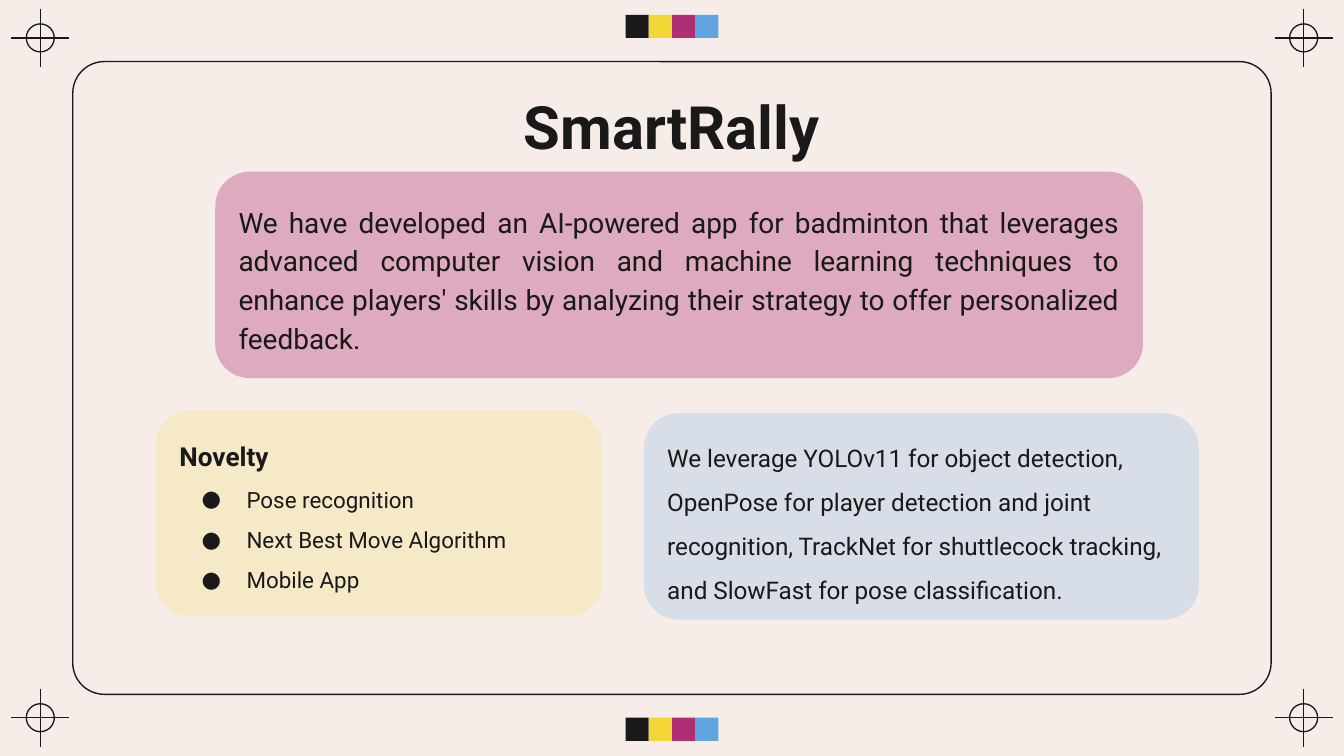
from lxml import etree
from pptx import Presentation
from pptx.dml.color import RGBColor
from pptx.enum import shapes, text
from pptx.oxml import ns
from pptx.util import Pt

INK = RGBColor(0x19, 0x19, 0x19)
YELLOW = RGBColor(0xF3, 0xD7, 0x37)
MAGENTA = RGBColor(0xAF, 0x2E, 0x74)
BLUE = RGBColor(0x60, 0xA4, 0xE0)
PAPER = RGBColor(0xF6, 0xED, 0xE9)

SHAPE = shapes.MSO_SHAPE
ALIGN = text.PP_ALIGN
ANCHOR = text.MSO_ANCHOR

prs = Presentation()
prs.slide_width, prs.slide_height = Pt(720), Pt(405)
s = prs.slides.add_slide(prs.slide_layouts[6])
s.background.fill.solid()
s.background.fill.fore_color.rgb = PAPER


def add_shape(kind, x, y, w, h, fill=None, line=None):
    sp = s.shapes.add_shape(kind, Pt(x), Pt(y), Pt(w), Pt(h))
    sp.shadow.inherit = False
    if fill is None:
        sp.fill.background()
    else:
        sp.fill.solid()
        sp.fill.fore_color.rgb = fill
    if line is None:
        sp.line.fill.background()
    else:
        sp.line.color.rgb = INK
        sp.line.width = Pt(line)
    return sp


def add_text(p, words, size, bold=False, align=ALIGN.LEFT, spacing=1.0):
    p.alignment = align
    p.line_spacing = spacing
    r = p.add_run()
    r.text = words
    r.font.name = "Roboto"
    r.font.size = Pt(size)
    r.font.bold = bold
    r.font.color.rgb = INK


# Frame
frame = add_shape(SHAPE.ROUNDED_RECTANGLE, 39, 33, 642, 339, line=0.75)
frame.adjustments[0] = 0.05

# Registration marks in the corners
RADIUS, ARM = 7.5, 15.6
for cy in (20.3, 384.5):
    for cx in (21.6, 698.4):
        add_shape(SHAPE.OVAL, cx - RADIUS, cy - RADIUS, 2 * RADIUS, 2 * RADIUS, line=0.71)
        for dx, dy in ((0, ARM), (ARM, 0)):
            c = s.shapes.add_connector(shapes.MSO_CONNECTOR.STRAIGHT, Pt(cx - dx), Pt(cy - dy),
                                       Pt(cx + dx), Pt(cy + dy))
            c.line.color.rgb = INK
            c.line.width = Pt(0.71)
            etree.SubElement(c._element.spPr, ns.qn("a:effectLst"))

# Colour bars at top and bottom
SWATCH = 12.45
for y in (7.9, 384.5):
    for i, color in enumerate((INK, YELLOW, MAGENTA, BLUE)):
        add_shape(SHAPE.RECTANGLE, 360 + (i - 2) * SWATCH, y, SWATCH, SWATCH, color)

# Title
tf = s.shapes.add_textbox(Pt(57), Pt(41), Pt(606), Pt(45)).text_frame
tf.word_wrap = True
tf.margin_left = tf.margin_right = tf.margin_top = tf.margin_bottom = Pt(7.2)
add_text(tf.paragraphs[0], "SmartRally", 32, True, ALIGN.CENTER)

# Cards with a translucent fill
cards = []
for x, y, w, color, opacity, anchor in (
    (115.3, 92, 497, MAGENTA, 35, ANCHOR.BOTTOM),
    (83.6, 219.8, 239, YELLOW, 18, ANCHOR.BOTTOM),
    (345, 221.4, 297.3, BLUE, 20, ANCHOR.MIDDLE),
):
    sp = add_shape(SHAPE.ROUNDED_RECTANGLE, x, y, w, 110.6, color)
    sp.adjustments[0] = 0.167
    clr = sp._element.spPr.find(".//" + ns.qn("a:srgbClr"))
    etree.SubElement(clr, ns.qn("a:alpha"), val=str(opacity * 1000))
    tf = sp.text_frame
    tf.word_wrap = True
    tf.vertical_anchor = anchor
    tf.margin_left = tf.margin_right = tf.margin_top = tf.margin_bottom = Pt(7.2)
    cards.append(tf)
summary, novelty, models = cards

add_text(summary.paragraphs[0],
         "We have developed an AI-powered app for badminton that leverages advanced computer "
         "vision and machine learning techniques to enhance players' skills by analyzing their "
         "strategy to offer personalized feedback.", 15, align=ALIGN.JUSTIFY, spacing=1.15)

add_text(models.paragraphs[0],
         "We leverage YOLOv11 for object detection, OpenPose for player detection and joint "
         "recognition, TrackNet for shuttlecock tracking, and SlowFast for pose classification.",
         13, spacing=1.5)

# Novelty heading and bullets
add_text(novelty.paragraphs[0], "Novelty", 14, True, ALIGN.JUSTIFY, 1.5)
for item in ("Pose recognition", "Next Best Move Algorithm", "Mobile App"):
    p = novelty.add_paragraph()
    add_text(p, item, 12, spacing=1.5)
    pPr = p._p.get_or_add_pPr()
    pPr.set("marL", str(Pt(36)))
    pPr.set("indent", str(-Pt(24)))
    bu_clr = etree.SubElement(pPr, ns.qn("a:buClr"))
    etree.SubElement(bu_clr, ns.qn("a:srgbClr"), val=str(INK))
    etree.SubElement(pPr, ns.qn("a:buFont"), typeface="Roboto")
    etree.SubElement(pPr, ns.qn("a:buChar"), char="●")

prs.save("out.pptx")
